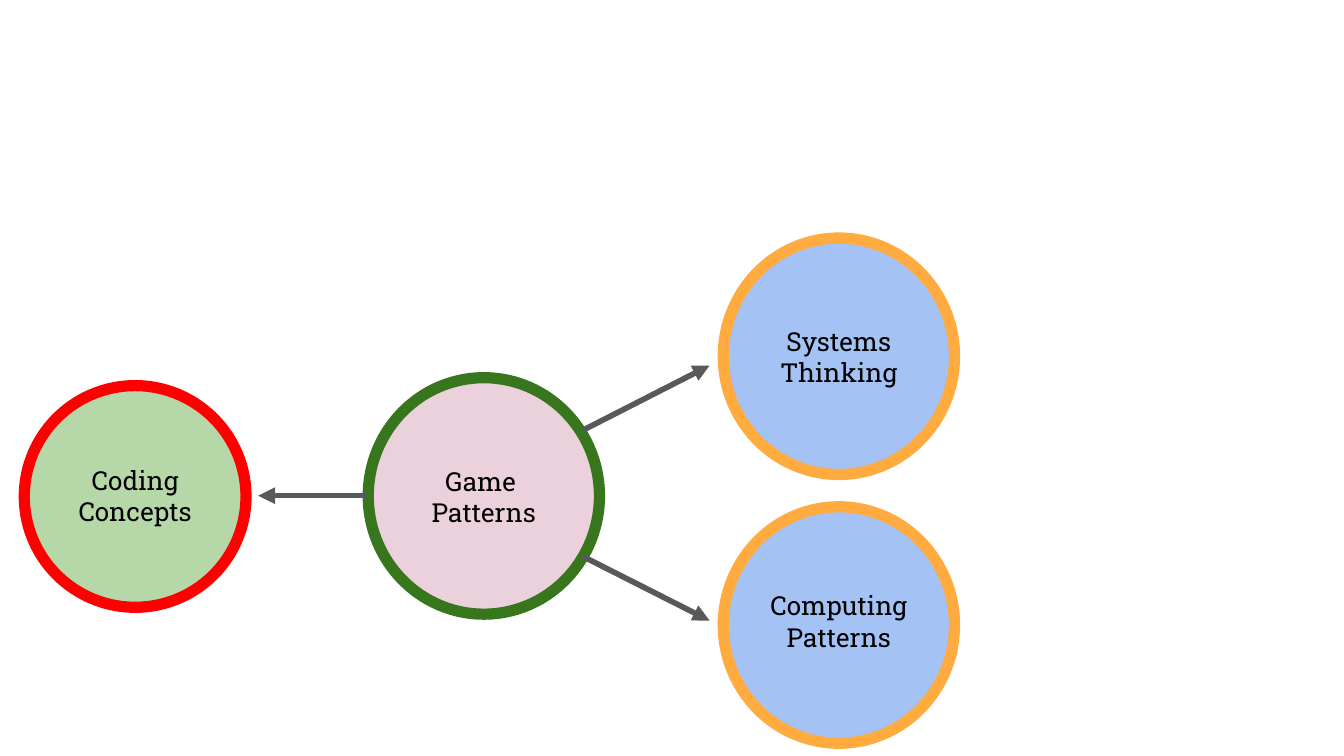
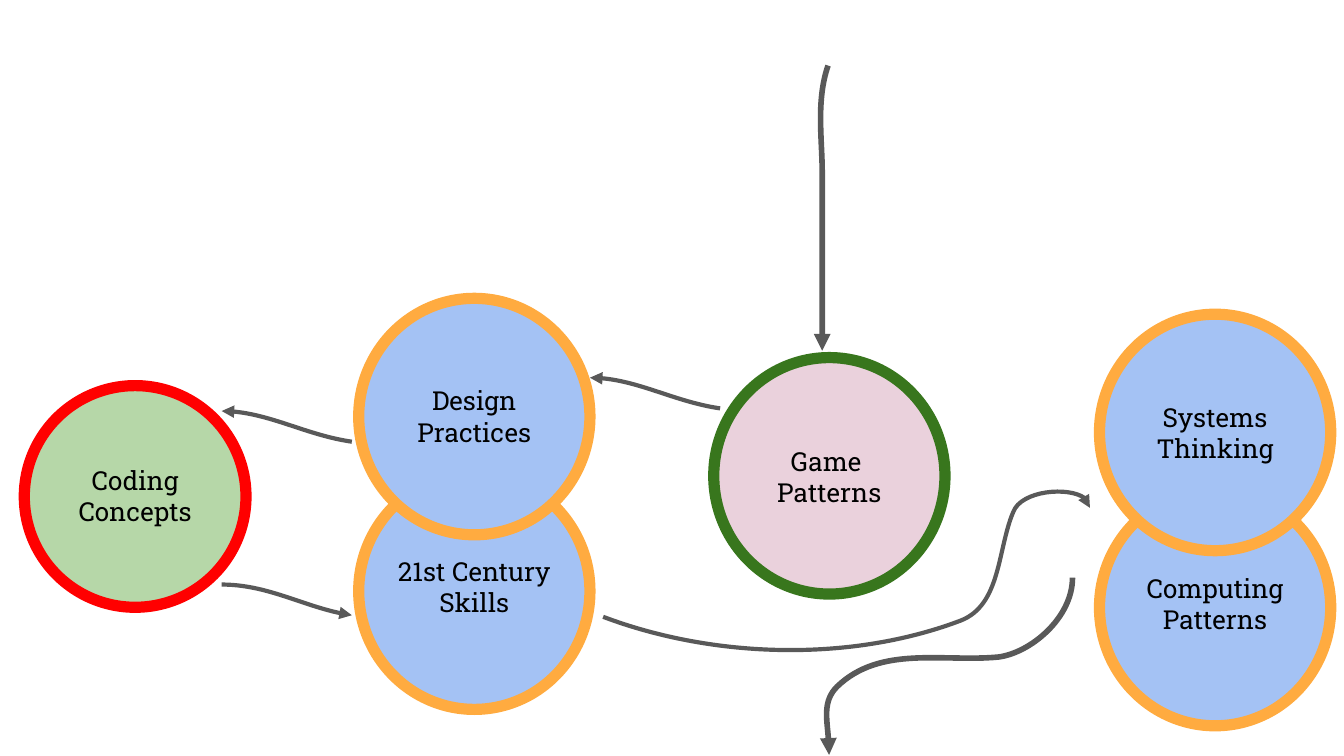
"""Build two slides of linked circles showing how game patterns lead to skills."""
import pptx
import pptx.util
import pptx.dml.color
import pptx.enum.shapes
import pptx.enum.text
import pptx.oxml.ns
from lxml import etree

Cm, Pt, qn = pptx.util.Cm, pptx.util.Pt, pptx.oxml.ns.qn
SHAPE = pptx.enum.shapes.MSO_SHAPE

HUES = {
    "pink": "EAD1DC", "green": "38761D", "mint": "B6D7A8", "red": "FF0000",
    "blue": "A4C2F4", "gold": "FFAB40", "grey": "595959", "ink": "000000",
}

LOOKS = {
    "game": {"fill": "pink", "line": "green", "size": (4.37, 4.47), "wide": 3.63, "plate": False},
    "code": {"fill": "mint", "line": "red", "size": (4.19, 4.19), "wide": 3.28, "plate": True},
    "skill": {"fill": "blue", "line": "gold", "size": (4.37, 4.47), "wide": 3.63, "plate": True},
}

TOPICS = {
    "game": ("game", "Game \vPatterns", 1.4),
    "code": ("code", "Coding\vConcepts", 1.24),
    "comp": ("skill", "Computing\nPatterns", 1.32),
    "sys": ("skill", "Systems\nThinking", 1.4),
    "cent": ("skill", "21st Century\nSkills", 1.3),
    "design": ("skill", "Design\nPractices", 1.38),
}

FRAME = {
    "word_wrap": True, "vertical_anchor": pptx.enum.text.MSO_ANCHOR.TOP,
    "margin_left": Cm(0.25), "margin_right": Cm(0.25),
    "margin_top": Cm(0.25), "margin_bottom": Cm(0.25),
}
FONT = {"name": "Roboto Slab", "size": Pt(14)}
HIGH = 1.7
RING = 6

BEND = [(2.46, 0.58), (1.63, 0.46), (0.84, 0), (0, 0)]


def bend(left, top):
    """Return the shared short curve moved to a place."""
    return [(left + x, top + y) for x, y in BEND]


SLIDES = [
    {
        "rings": [("game", 6.96, 7.14), ("code", 0.46, 7.29),
                  ("comp", 13.67, 9.58), ("sys", 13.67, 4.5)],
        "arrows": [
            ("head", 3, [(4.88, 9.37), (6.96, 9.37)]),
            ("head", 3, [(13.41, 6.91), (11.02, 8.13)]),
            ("head", 3, [(13.41, 11.73), (11.02, 10.52)]),
        ],
    },
    {
        "rings": [("game", 13.49, 6.76), ("code", 0.46, 7.29),
                  ("comp", 20.78, 9.25), ("sys", 20.78, 5.94),
                  ("cent", 6.78, 8.94), ("design", 6.78, 5.64)],
        "arrows": [
            ("tail", 3, [(15.65, 1.24), (15.42, 1.91), (15.54, 2.62), (15.54, 3.28),
                         (15.54, 4.39), (15.54, 5.51), (15.54, 6.63)]),
            ("tail", 2.25, bend(4.19, 7.77)),
            ("head", 2.25, bend(4.19, 11.05)),
            ("tail", 2.25, bend(11.15, 7.14)),
            ("tail", 2.25, [(11.4, 11.66), (13.49, 12.45), (16.08, 12.52), (18.16, 11.73),
                            (18.92, 11.43), (18.85, 10.39), (19.15, 9.68),
                            (19.3, 9.27), (20.6, 9.14), (20.6, 9.6)]),
            ("tail", 3, [(20.27, 10.92), (20.27, 11.68), (19.48, 12.34), (18.87, 12.42),
                         (17.83, 12.52), (16.64, 12.19), (15.82, 12.98),
                         (15.54, 13.26), (15.67, 13.84), (15.67, 14.27)]),
        ],
    },
]


def hue(name):
    """Look up a colour by name."""
    return pptx.dml.color.RGBColor.from_string(HUES[name])


def put(thing, values):
    """Set each named value on a thing."""
    for name, value in values.items():
        setattr(thing, name, value)


def paint(shape, fill):
    """Give a shape a plain fill without shadow."""
    shape.shadow.inherit = False
    shape.fill.solid()
    shape.fill.fore_color.rgb = hue(fill)


def stroke(shape, name, width):
    """Set the line colour and width."""
    shape.line.color.rgb = hue(name)
    shape.line.width = Pt(width)


def ring(slide, topic, left, top):
    """Draw one circle with its label."""
    kind, text, drop = TOPICS[topic]
    look = LOOKS[kind]
    wide, tall = look["size"]
    group = slide.shapes.add_group_shape().shapes
    disc = group.add_shape(SHAPE.OVAL, Cm(left), Cm(top), Cm(wide), Cm(tall))
    paint(disc, look["fill"])
    stroke(disc, look["line"], RING)
    side = left + (wide - look["wide"]) / 2
    box = [Cm(v) for v in (side, top + drop, look["wide"], HIGH)]
    if look["plate"]:
        label = group.add_shape(SHAPE.RECTANGLE, *box)
        paint(label, look["fill"])
        label.line.fill.background()
    else:
        label = group.add_textbox(*box)
    frame = label.text_frame
    put(frame, FRAME)
    frame.text = text
    for para in frame.paragraphs:
        para.alignment = pptx.enum.text.PP_ALIGN.CENTER
        for run in para.runs:
            put(run.font, FONT)
            run.font.color.rgb = hue("ink")


def curve(slide, points):
    """Draw an open chain of cubic curves."""
    pen = slide.shapes.build_freeform(*points[0], scale=1.0)
    pen.add_line_segments(points[1:], close=False)
    shape = pen.convert_to_shape()
    shape.fill.background()
    legs = list(shape.element.iter(qn("a:lnTo")))
    for i in range(0, len(legs), 3):
        first, *rest = legs[i:i + 3]
        first.tag = qn("a:cubicBezTo")
        for leg in rest:
            first.append(leg[0])
            leg.getparent().remove(leg)
    return shape


def arrow(slide, end, width, points):
    """Draw a straight or curved arrow with its tip at one end."""
    spots = [(Cm(x), Cm(y)) for x, y in points]
    if len(spots) == 2:
        straight = pptx.enum.shapes.MSO_CONNECTOR.STRAIGHT
        shape = slide.shapes.add_connector(straight, *spots[0], *spots[1])
    else:
        shape = curve(slide, spots)
    stroke(shape, "grey", width)
    props = shape.element.spPr
    tip = etree.SubElement(props.find(qn("a:ln")), qn(f"a:{end}End"))
    tip.set("type", "triangle")
    etree.SubElement(props, qn("a:effectLst"))


def main():
    """Build and save the slides."""
    deck = pptx.Presentation()
    put(deck, {"slide_width": Cm(25.4), "slide_height": Cm(14.29)})
    for part in SLIDES:
        slide = deck.slides.add_slide(deck.slide_layouts[6])
        for item in part["rings"]:
            ring(slide, *item)
        for item in part["arrows"]:
            arrow(slide, *item)
    deck.save("out.pptx")


if __name__ == "__main__":
    main()
